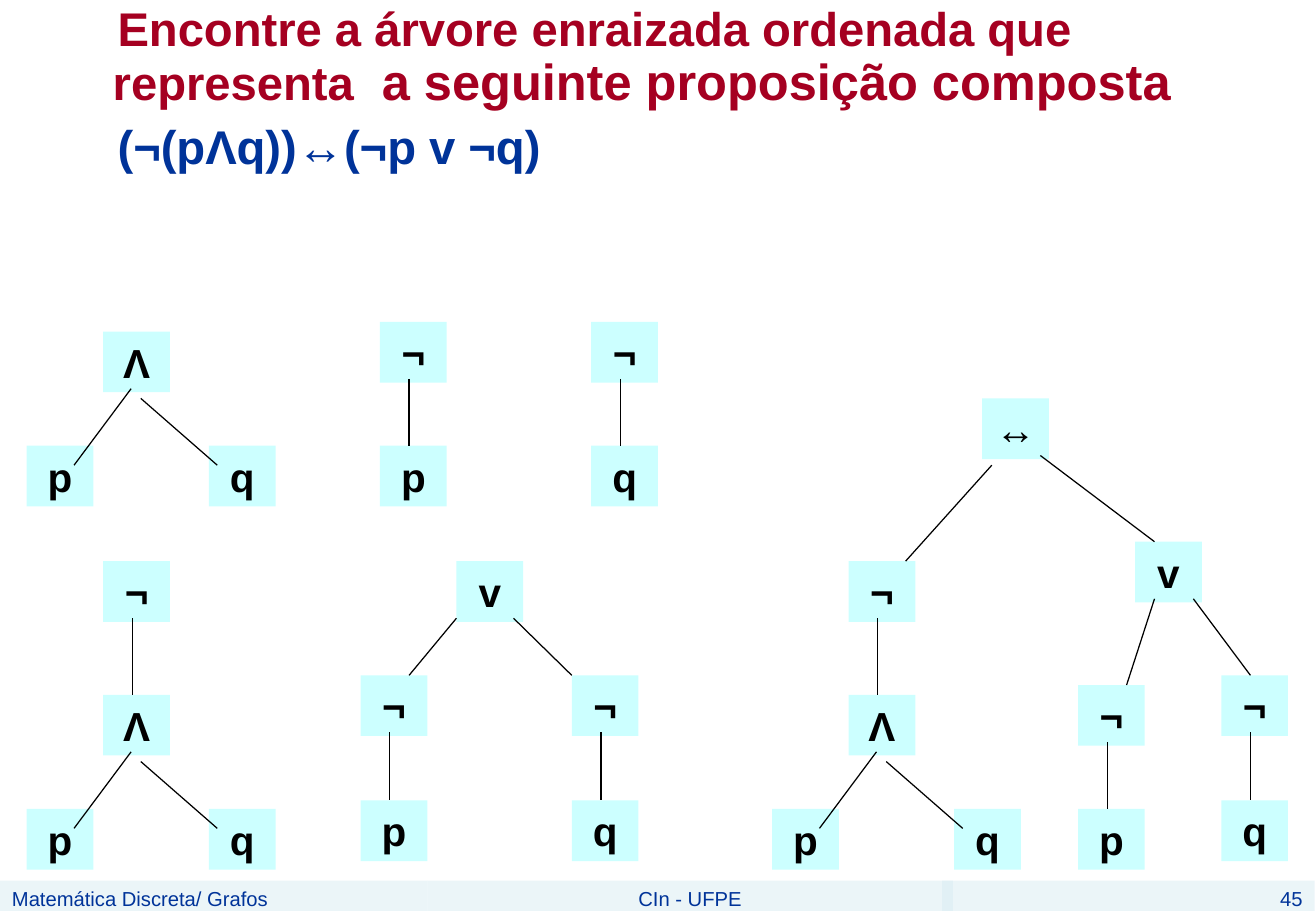
from dataclasses import dataclass

from lxml.etree import SubElement
from pptx import Presentation
from pptx.dml.color import RGBColor
from pptx.enum.shapes import MSO_CONNECTOR as Connector, MSO_SHAPE as Preset
from pptx.enum.text import MSO_ANCHOR as Anchor, MSO_AUTO_SIZE as AutoSize, PP_ALIGN as Align
from pptx.oxml.ns import qn
from pptx.util import Emu, Pt

PX = 9144  # 100 px to the inch
COLORS = {
    "heading": "A50021",
    "blue": "003399",
    "footer": "D9ECF3",
    "node": "CCFFFF",
    "black": "000000",
}
NODE_WIDTH, NODE_HEIGHT = 55, 50
STEM_X, STEM_Y = 24, 47  # start of a stem inside its node
HEADING_FORMAT = {"name": "Arial", "bold": True}
NODE_FORMAT = {"name": "Arial", "bold": True, "size": Pt(24)}
FOOTER_FORMAT = {"name": "Arial", "bold": False, "size": Pt(12)}


@dataclass(frozen=True)
class Node:
    symbol: str
    x: int
    y: int


@dataclass(frozen=True)
class Edge:
    x1: int
    y1: int
    x2: int
    y2: int


@dataclass(frozen=True)
class Negation:
    """A ¬ node with the operand below it by drop."""
    operand: str
    x: int
    y: int
    drop: int


@dataclass(frozen=True)
class Footer:
    text: str
    x: int
    width: int
    align: Align


FOOTERS = [
    Footer("Matemática Discreta/ Grafos", 0, 352, Align.LEFT),
    Footer("CIn - UFPE", 352, 433, Align.CENTER),
    Footer("45", 776, 307, Align.RIGHT),
]
NEGATIONS = [
    Negation("p", 313, 265, 102),
    Negation("q", 487, 265, 102),
    Negation("p", 297, 556, 103),
    Negation("q", 471, 556, 103),
    Negation("p", 888, 564, 102),
    Negation("q", 1006, 556, 103),
    Negation("Λ", 85, 462, 110),
    Negation("Λ", 699, 462, 110),
]
CONJUNCTIONS = [(85, 273), (85, 572), (699, 572)]
ROOTS = [Node("v", 376, 462), Node("v", 935, 446), Node("↔", 809, 328)]
BRANCHES = [
    Edge(376, 509, 337, 556),
    Edge(423, 509, 471, 556),
    Edge(951, 493, 928, 564),
    Edge(983, 493, 1030, 556),
    Edge(817, 383, 746, 462),
    Edge(857, 375, 951, 446),
]


def px(*lengths: int) -> list[Emu]:
    return [Emu(length * PX) for length in lengths]


def rgb(name: str) -> RGBColor:
    return RGBColor.from_string(COLORS[name])


def add_span(para, text: str, color: str, formats: dict):
    span = para.add_run()
    span.text = text
    for name, value in formats.items():
        setattr(span.font, name, value)
    span.font.color.rgb = rgb(color)
    return span


def add_label(page, bounds: list[Emu], fill: str, text: str, color: str,
              formats: dict, align: Align):
    box = page.shapes.add_shape(Preset.RECTANGLE, *bounds)
    box.shadow.inherit = False
    box.fill.solid()
    box.fill.fore_color.rgb = rgb(fill)
    box.line.fill.background()
    box.text_frame.word_wrap = True
    box.text_frame.vertical_anchor = Anchor.TOP
    para = box.text_frame.paragraphs[0]
    para.alignment = align
    add_span(para, text, color, formats)
    return box


def add_footer(page, footer: Footer) -> None:
    box = add_label(page, px(footer.x, 725, footer.width, 25), "footer",
                    footer.text, "blue", FOOTER_FORMAT, footer.align)
    tint = box.fill._xPr.find(qn("a:solidFill"))[0]
    SubElement(tint, qn("a:alpha"), val="50000")


def add_heading(page) -> None:
    box = page.shapes.add_textbox(*px(45, 0, 992, 194))
    frame = box.text_frame
    frame.word_wrap = True
    question, formula = frame.paragraphs[0], frame.add_paragraph()
    for para in (question, formula):
        para.line_spacing = 0.9
        margins = para._p.get_or_add_pPr()
        margins.set("marL", str(38 * PX))
        margins.set("indent", str(4 * PX))
    formula.space_before = Pt(7)
    small = {**HEADING_FORMAT, "size": Pt(28)}
    large = {**HEADING_FORMAT, "size": Pt(30)}
    add_span(question, "Encontre a árvore enraizada ordenada que representa", "heading", small)
    gap = add_span(question, " ", "heading", large)
    gap.font._element.set("spc", "830")
    add_span(question, "a seguinte proposição composta", "heading", large)
    add_span(formula, "(¬(pΛq))↔(¬p v ¬q)", "blue", small)


def add_node(page, node: Node) -> None:
    box = add_label(page, px(node.x, node.y, NODE_WIDTH, NODE_HEIGHT), "node",
                    node.symbol, "black", NODE_FORMAT, Align.CENTER)
    box.text_frame.auto_size = AutoSize.SHAPE_TO_FIT_TEXT


def add_edge(page, edge: Edge) -> None:
    line = page.shapes.add_connector(
        Connector.STRAIGHT, *px(edge.x1, edge.y1, edge.x2, edge.y2))
    line.line.color.rgb = rgb("black")
    line.line.width = Pt(0.75)
    SubElement(line._element.spPr, qn("a:effectLst"))


def add_negation(page, item: Negation) -> None:
    bottom, stem = item.y + item.drop, item.x + STEM_X
    add_node(page, Node("¬", item.x, item.y))
    if item.operand != "Λ":  # conjunctions draw their own root
        add_node(page, Node(item.operand, item.x, bottom))
    add_edge(page, Edge(stem, item.y + STEM_Y, stem, bottom))


def add_conjunction(page, x: int, y: int) -> None:
    for node in (Node("Λ", x, y), Node("p", x - 63, y + 94), Node("q", x + 87, y + 94)):
        add_node(page, node)
    add_edge(page, Edge(x + 23, y + 47, x - 24, y + 110))
    add_edge(page, Edge(x + 31, y + 55, x + 94, y + 110))


def main() -> None:
    deck = Presentation()
    deck.slide_width, deck.slide_height = px(1084, 750)
    page = deck.slides.add_slide(deck.slide_layouts[6])
    for footer in FOOTERS:
        add_footer(page, footer)
    add_heading(page)
    for root in ROOTS:
        add_node(page, root)
    for x, y in CONJUNCTIONS:
        add_conjunction(page, x, y)
    for negation in NEGATIONS:
        add_negation(page, negation)
    for branch in BRANCHES:
        add_edge(page, branch)
    deck.save("out.pptx")


if __name__ == "__main__":
    main()
